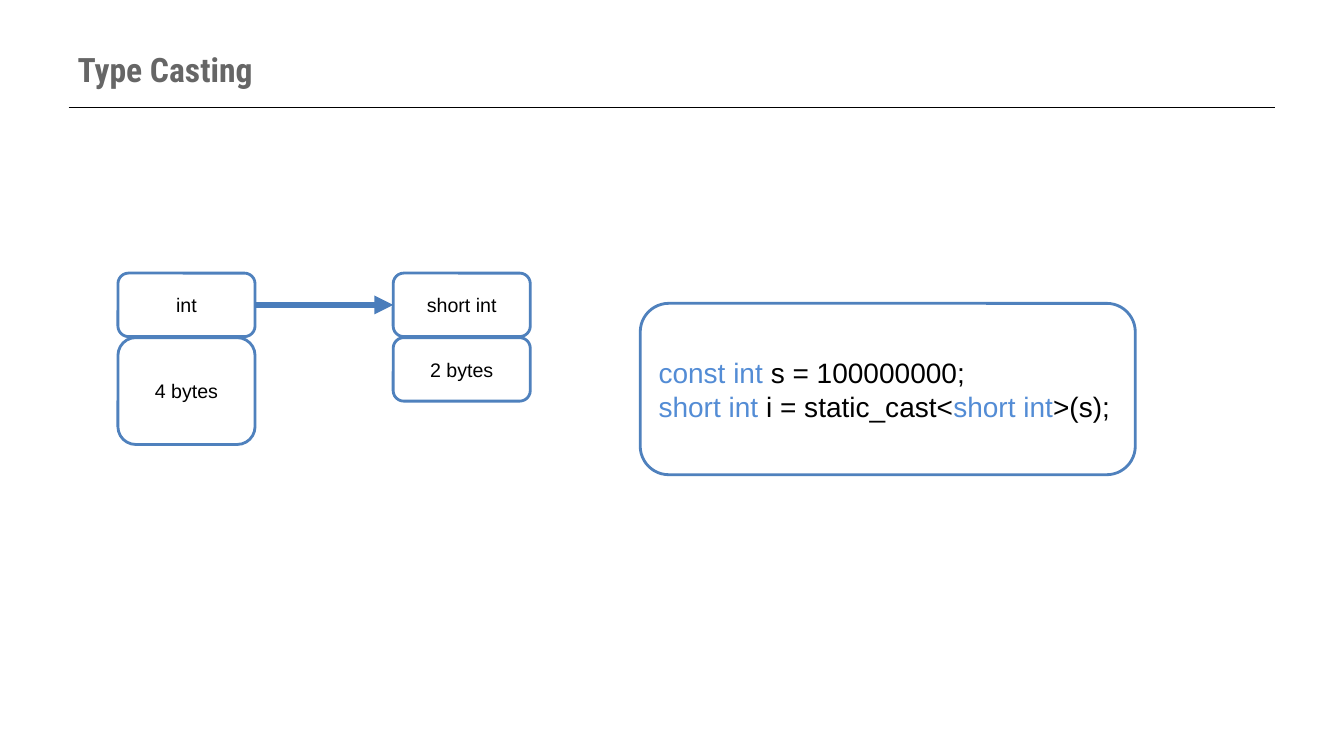
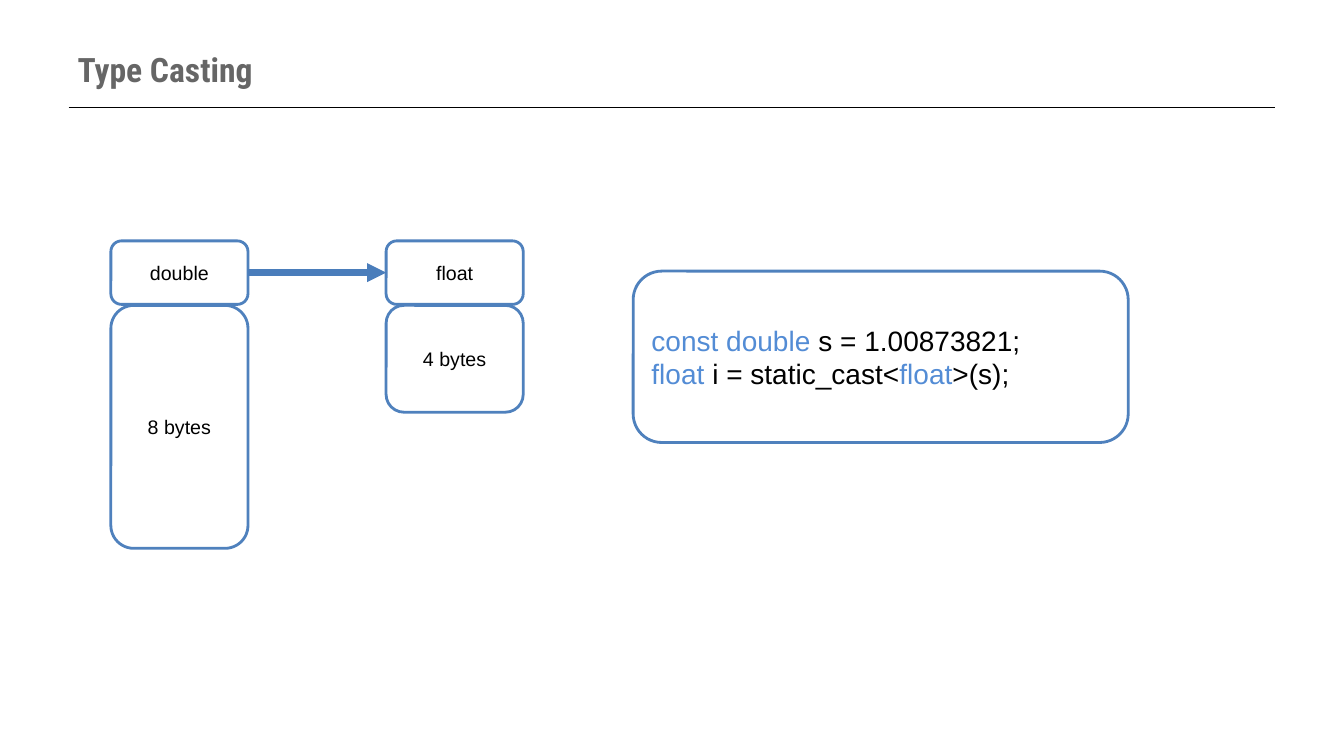
from dataclasses import dataclass

from lxml.etree import SubElement
from pptx import Presentation
from pptx.dml.color import RGBColor
from pptx.enum.shapes import MSO_CONNECTOR, MSO_SHAPE
from pptx.enum.text import MSO_ANCHOR, MSO_AUTO_SIZE, PP_ALIGN
from pptx.oxml.ns import qn
from pptx.shapes.autoshape import Shape
from pptx.shapes.connector import Connector
from pptx.slide import Slide, SlideLayout
from pptx.text.text import TextFrame
from pptx.util import Inches, Pt

BLACK = RGBColor(0x00, 0x00, 0x00)
WHITE = RGBColor(0xFF, 0xFF, 0xFF)
TITLE_GREY = RGBColor(0x66, 0x66, 0x66)
OUTLINE_BLUE = RGBColor(0x4F, 0x81, 0xBD)
ARROW_BLUE = RGBColor(0x4A, 0x7D, 0xBB)
KEYWORD_BLUE = RGBColor(0x53, 0x8C, 0xD5)

TITLE_FONT = "Roboto Condensed"
BODY_FONT = "Arial"

BOX_WIDTH = 1.36
NAME_HEIGHT = 0.63
SIZE_OFFSET = 0.64
TARGET_OFFSET = 2.73
CODE_OFFSET = (5.18, 0.3)
CODE_SIZE = (4.91, 1.7)
HEIGHT_BY_BYTES = {2: 0.63, 4: 1.06, 8: 2.41}


@dataclass(frozen=True)
class TextPart:
    text: str
    color: RGBColor = BLACK


@dataclass(frozen=True)
class DataType:
    name: str
    byte_count: int


@dataclass(frozen=True)
class CastExample:
    left: float
    top: float
    source: DataType
    target: DataType
    value: str


EXAMPLES = [
    CastExample(1.17, 2.71, DataType("int", 4), DataType("short int", 2), "100000000"),
    CastExample(1.1, 2.39, DataType("double", 8), DataType("float", 4), "1.00873821"),
]


def write_lines(
    frame: TextFrame,
    lines: list[list[TextPart]],
    size: float,
    alignment: PP_ALIGN = PP_ALIGN.LEFT,
    font_name: str = BODY_FONT,
    bold: bool = False,
) -> None:
    """Write one paragraph per line and one run per part."""
    frame.word_wrap = True
    frame.auto_size = MSO_AUTO_SIZE.NONE
    frame.vertical_anchor = MSO_ANCHOR.MIDDLE
    for index, parts in enumerate(lines):
        paragraph = frame.add_paragraph() if index else frame.paragraphs[0]
        paragraph.alignment = alignment
        for part in parts:
            run = paragraph.add_run()
            run.text = part.text
            run.font.name = font_name
            run.font.size = Pt(size)
            run.font.bold = bold
            run.font.color.rgb = part.color


def add_rounded_box(slide: Slide, left: float, top: float, width: float, height: float) -> Shape:
    box = slide.shapes.add_shape(
        MSO_SHAPE.ROUNDED_RECTANGLE, Inches(left), Inches(top), Inches(width), Inches(height)
    )
    box.shadow.inherit = False
    box.fill.solid()
    box.fill.fore_color.rgb = WHITE
    box.line.color.rgb = OUTLINE_BLUE
    box.line.width = Pt(2)
    return box


def add_line(
    slide: Slide, start: tuple[float, float], end: tuple[float, float], color: RGBColor, width: float
) -> Connector:
    line = slide.shapes.add_connector(
        MSO_CONNECTOR.STRAIGHT, *(Inches(value) for value in (*start, *end))
    )
    line.line.color.rgb = color
    line.line.width = Pt(width)
    SubElement(line.element.spPr, qn("a:effectLst"))
    return line


def add_arrow(slide: Slide, source: Shape, target: Shape) -> None:
    arrow = add_line(slide, (0, 0), (0, 0), ARROW_BLUE, 4.5)
    arrow.begin_connect(source, 3)
    arrow.end_connect(target, 1)
    outline = arrow.element.spPr.find(qn("a:ln"))
    SubElement(outline, qn("a:tailEnd"), type="triangle")


def add_data_type(slide: Slide, data_type: DataType, left: float, top: float) -> Shape:
    """Stack the type's name over its size and return the name box."""
    name_box = add_rounded_box(slide, left, top, BOX_WIDTH, NAME_HEIGHT)
    size_box = add_rounded_box(
        slide, left, top + SIZE_OFFSET, BOX_WIDTH, HEIGHT_BY_BYTES[data_type.byte_count]
    )
    labels = (data_type.name, f"{data_type.byte_count} bytes")
    for box, label in zip((name_box, size_box), labels):
        write_lines(box.text_frame, [[TextPart(label)]], 14, PP_ALIGN.CENTER)
    return name_box


def add_code(slide: Slide, example: CastExample) -> None:
    code_box = add_rounded_box(
        slide, example.left + CODE_OFFSET[0], example.top + CODE_OFFSET[1], *CODE_SIZE
    )
    source, target = example.source.name, example.target.name
    lines = [
        [TextPart(f"const {source} ", KEYWORD_BLUE), TextPart(f"s = {example.value};")],
        [
            TextPart(f"{target} ", KEYWORD_BLUE),
            TextPart("i = static_cast<"),
            TextPart(target, KEYWORD_BLUE),
            TextPart(">(s);"),
        ],
    ]
    write_lines(code_box.text_frame, lines, 20)


def add_title(slide: Slide) -> None:
    title = slide.shapes.title
    title.left, title.top = Inches(0.67), Inches(0.3)
    title.width, title.height = Inches(12), Inches(0.77)
    write_lines(
        title.text_frame,
        [[TextPart("Type Casting", TITLE_GREY)]],
        24,
        font_name=TITLE_FONT,
        bold=True,
    )


def move_rule_to_layout(slide: Slide, layout: SlideLayout) -> None:
    """Draw the title rule and hand it to the layout, so that every slide shows it."""
    rule = add_line(slide, (0.68, 1.07), (12.65, 1.07), BLACK, 0.75)
    layout.shapes.element.append(rule.element)


def add_cast_slide(slide: Slide, example: CastExample) -> None:
    add_title(slide)
    source = add_data_type(slide, example.source, example.left, example.top)
    target = add_data_type(slide, example.target, example.left + TARGET_OFFSET, example.top)
    add_arrow(slide, source, target)
    add_code(slide, example)


def main() -> None:
    presentation = Presentation()
    presentation.slide_width = Inches(13.33)
    presentation.slide_height = Inches(7.5)
    layout = presentation.slide_layouts[5]
    slides = [presentation.slides.add_slide(layout) for _ in EXAMPLES]
    move_rule_to_layout(slides[0], layout)
    for slide, example in zip(slides, EXAMPLES):
        add_cast_slide(slide, example)
    presentation.save("out.pptx")


if __name__ == "__main__":
    main()
